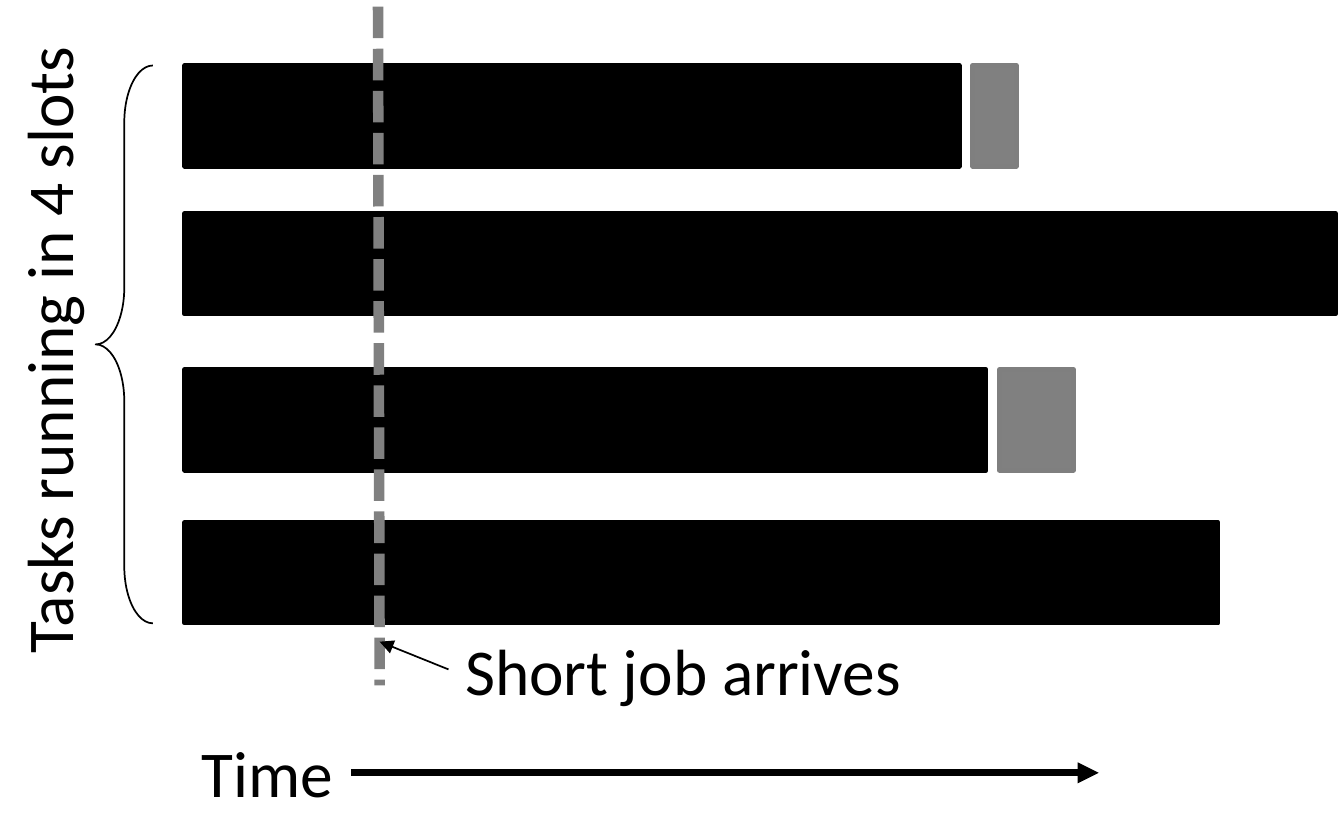
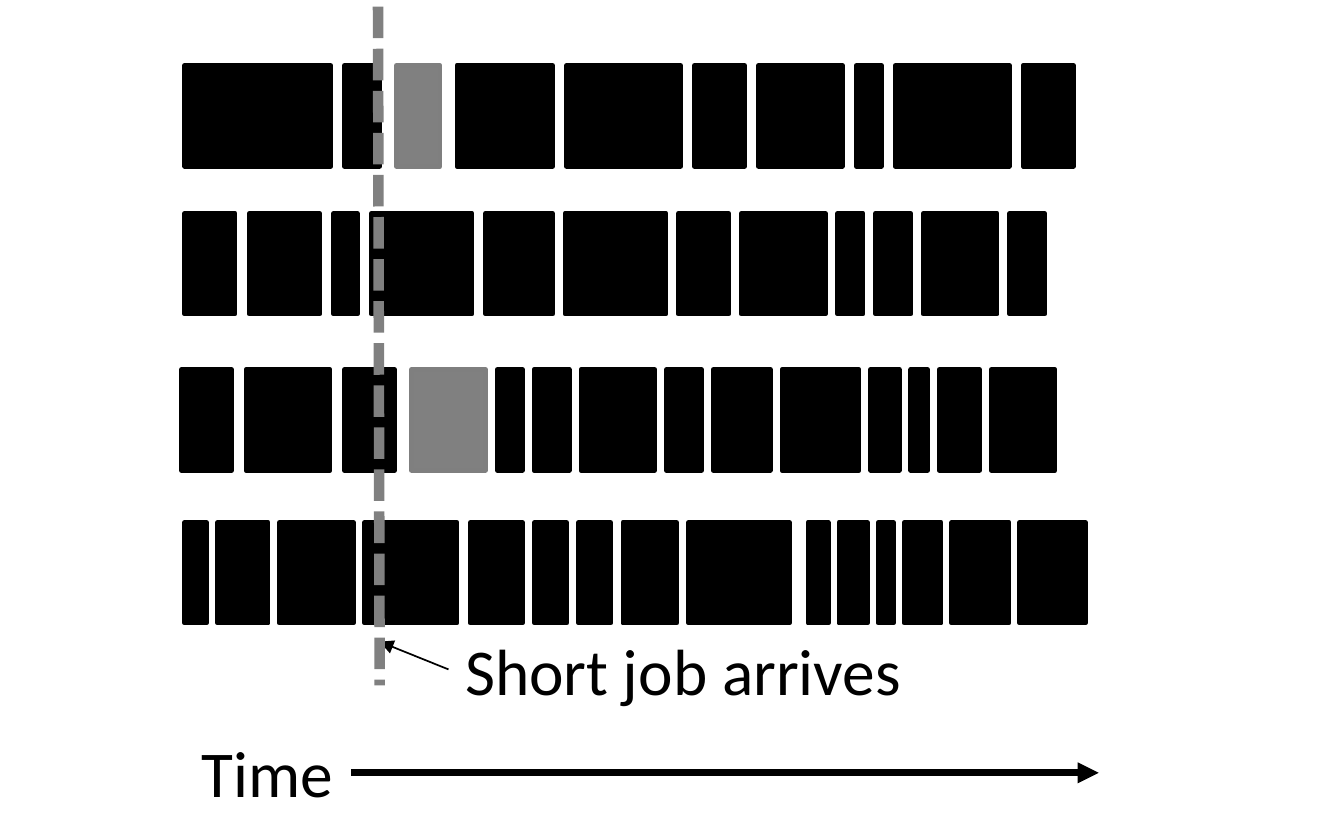
from collections import namedtuple as record

from pptx import Presentation as Deck
from pptx.dml.color import RGBColor as Rgb
from pptx.enum.dml import MSO_LINE as Dash
from pptx.enum.shapes import MSO_CONNECTOR as Conn, MSO_SHAPE as Form
from pptx.enum.text import MSO_ANCHOR as Anchor, MSO_AUTO_SIZE as Fit
from pptx.oxml.ns import qn
from pptx.util import Inches, Pt
from lxml.etree import SubElement as Sub

HUES = {"task": "000000", "short": "808080", "edge": "7F7F7F", "ink": "000000"}

START = 1.1
TALL = 0.6
TOPS = (0.39, 1.27, 2.2, 3.11)
JOBS = {0: 0.26, 2: 0.44}

Run = record("Run", "start end sizes")

LONG = [[Run(START, START + size, [size])] for size in (4.61, 6.85, 4.77, 6.15)]
TINY = [
    [Run(START, 2.26, [0.87, 0.21]),
     Run(2.72, 6.39, [0.57, 0.68, 0.3, 0.5, 0.15, 0.68, 0.3])],
    [Run(START, 2.81, [0.3, 0.42, 0.14, 0.6]),
     Run(2.89, 6.22, [0.4, 0.6, 0.3, 0.5, 0.15, 0.21, 0.44, 0.21])],
    [Run(1.08, 2.35, [0.3, 0.5, 0.3]),
     Run(2.96, 6.28, [0.15, 0.21, 0.44, 0.21, 0.34, 0.46, 0.17, 0.1, 0.24, 0.38])],
    [Run(START, 2.72, [0.13, 0.3, 0.44, 0.55]),
     Run(2.8, 4.7, [0.31, 0.19, 0.19, 0.32, 0.6]),
     Run(4.81, 6.46, [0.12, 0.17, 0.09, 0.22, 0.34, 0.39])],
]


def spread(run):
    """Yield the left and width of each task, with equal gaps across the run."""
    gap = (run.end - run.start - sum(run.sizes)) / max(len(run.sizes) - 1, 1)
    left = run.start
    for size in run.sizes:
        yield left, size
        left += size + gap


class Chart:
    """Hold the style and the current slide of a task timeline."""

    font = {"name": "Calibri", "size": Pt(28)}
    frame = {"word_wrap": False, "auto_size": Fit.SHAPE_TO_FIT_TEXT,
             "vertical_anchor": Anchor.TOP}

    def __init__(self):
        self.deck = Deck()
        self.deck.slide_width = Inches(8)
        self.deck.slide_height = Inches(5)

    def page(self):
        self.slide = self.deck.slides.add_slide(self.deck.slide_layouts[6])

    def pen(self, line, hue, width):
        line.color.rgb = Rgb.from_string(HUES[hue])
        line.width = Pt(width)

    def shape(self, form, box, hue, width):
        item = self.slide.shapes.add_shape(form, *map(Inches, box))
        item.shadow.inherit = False
        self.pen(item.line, hue, width)
        return item

    def bar(self, top, left, width, fill="task", edge="task"):
        item = self.shape(Form.RECTANGLE, (left, top, width, TALL), edge, 2)
        item.fill.solid()
        item.fill.fore_color.rgb = Rgb.from_string(HUES[fill])

    def slots(self, rows, wait):
        for row, (top, runs) in enumerate(zip(TOPS, rows)):
            for run in runs:
                for left, width in spread(run):
                    self.bar(top, left, width)
            if row in JOBS:
                self.bar(top, runs[0].end + wait, JOBS[row], "short", "edge")

    def brace(self):
        box = (0.57, TOPS[0], 0.34, TOPS[-1] + TALL - TOPS[0])
        item = self.shape(Form.LEFT_BRACE, box, "ink", 0.75)
        item.fill.background()
        item.adjustments[0] = 0.995
        item.adjustments[1] = 0.5

    def text(self, words, box, turn=0):
        item = self.slide.shapes.add_textbox(*map(Inches, box))
        item.rotation = turn
        run = item.text_frame.paragraphs[0].add_run()
        run.text = words
        run.font.color.rgb = Rgb.from_string(HUES["ink"])
        for part, style in ((item.text_frame, self.frame), (run.font, self.font)):
            for key, value in style.items():
                setattr(part, key, value)
        return item

    def line(self, ends, hue, width):
        item = self.slide.shapes.add_connector(Conn.STRAIGHT, *map(Inches, ends))
        self.pen(item.line, hue, width)
        Sub(item._element.spPr, qn("a:effectLst"))
        return item

    def arrow(self, ends, width):
        item = self.line(ends, "ink", width)
        Sub(item._element.spPr.find(qn("a:ln")), qn("a:tailEnd"), type="triangle")
        return item

    def mark(self):
        item = self.line((2.25, 0.04, 2.26, 4.08), "short", 4.5)
        item.line.dash_style = Dash.SQUARE_DOT

    def note(self):
        label = self.text("Short job arrives", (2.67, 3.7, 2.83, 0.57))
        self.arrow((2.67, 3.99, 2.26, 3.82), 0.75).begin_connect(label, 1)

    def axis(self):
        left, width, level = START, 0.99, 4.6
        self.text("Time", (left, 4.31, width, 1.04))
        self.arrow((left + width, level, 6.54, level), 3)


def main():
    chart = Chart()

    chart.page()
    chart.slots(LONG, wait=0.08)
    chart.mark()
    chart.note()
    chart.axis()
    chart.brace()
    chart.text("Tasks running in 4 slots", (-1.66, 1.76, 3.89, 0.57), turn=270)

    chart.page()
    chart.slots(TINY, wait=0.1)
    chart.note()
    chart.mark()
    chart.axis()

    chart.deck.save("out.pptx")


if __name__ == "__main__":
    main()
